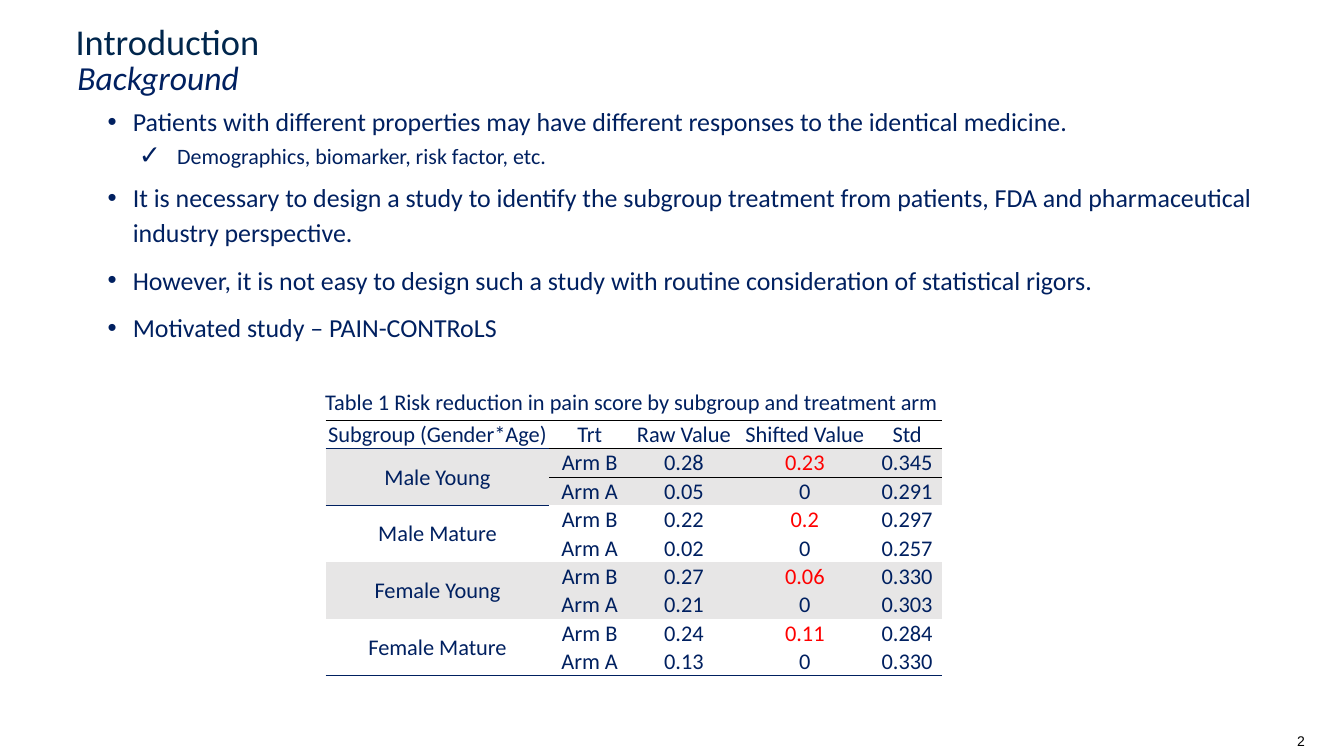
from pptx import Presentation
from pptx.dml.color import RGBColor
from pptx.enum.text import MSO_ANCHOR, MSO_AUTO_SIZE, PP_ALIGN
from pptx.oxml import parse_xml
from pptx.oxml.ns import nsdecls
from pptx.util import Pt

NAVY, BLACK, RED = "002060", "000000", "FF0000"
WHITE, GREY = "FFFFFF", "E7E6E6"
PLAIN = "{2D5ABB26-0587-4C30-8999-92F81FD0307C}"

POINTS = [
    ("Patients with different properties may have different responses to the identical medicine.", "•", 1.45),
    ("Demographics, biomarker, risk factor, etc.", "✓", 0.9),
    ("It is necessary to design a study to identify the subgroup treatment from patients, "
     "FDA and pharmaceutical industry perspective.", "•", 1.14),
    ("However, it is not easy to design such a study with routine consideration of statistical rigors.", "•", 1.25),
    ("Motivated study – PAIN-CONTRoLS", "•", 1.25),
]
MARKS = {"•": (18.5, 18, 18, 100), "✓": (15.7, 49.7, 27.4, 120)}

HEADS = ["Subgroup (Gender*Age)", "Trt", "Raw Value", "Shifted Value", "Std"]
WIDTHS = [159.8, 57.6, 77, 95.8, 50.4]
GROUPS = [
    ("Male Young", ("0.28", "0.23", "0.345"), ("0.05", "0", "0.291")),
    ("Male Mature", ("0.22", "0.2", "0.297"), ("0.02", "0", "0.257")),
    ("Female Young", ("0.27", "0.06", "0.330"), ("0.21", "0", "0.303")),
    ("Female Mature", ("0.24", "0.11", "0.284"), ("0.13", "0", "0.330")),
]


def color(code):
    return RGBColor.from_string(code)


def write(para, text, size, code=NAVY, font="Calibri", italic=False, align=PP_ALIGN.LEFT):
    para.alignment = align
    run = para.add_run()
    run.text = text
    run.font.name = font
    run.font.size = Pt(size)
    run.font.italic = italic
    run.font.color.rgb = color(code)


def place(shape, box, anchor):
    shape.left, shape.top, shape.width, shape.height = map(Pt, box)
    frame = shape.text_frame
    frame.word_wrap = True
    frame.auto_size = MSO_AUTO_SIZE.NONE
    frame.vertical_anchor = anchor
    return frame


def add_text(slide, box, anchor=MSO_ANCHOR.TOP):
    return place(slide.shapes.add_textbox(0, 0, 0, 0), box, anchor)


def add_points(slide, box):
    frame = add_text(slide, box)
    for i, (text, mark, space) in enumerate(POINTS):
        para = frame.paragraphs[0] if i == 0 else frame.add_paragraph()
        size, left, hang, scale = MARKS[mark]
        para.line_spacing = space
        para.space_before = para.space_after = Pt(3)
        write(para, text, size)
        props = para._p.get_or_add_pPr()
        props.set("marL", str(Pt(left)))
        props.set("indent", str(-Pt(hang)))
        for tag in (f'<a:buClr {nsdecls("a")}><a:srgbClr val="{NAVY}"/></a:buClr>',
                    f'<a:buSzPct {nsdecls("a")} val="{scale * 1000}"/>',
                    f'<a:buFont {nsdecls("a")} typeface="Arial"/>',
                    f'<a:buChar {nsdecls("a")} char="{mark}"/>'):
            props.append(parse_xml(tag))


def add_rule(cell, side, code):
    cell._tc.get_or_add_tcPr().insert(0, parse_xml(
        f'<a:{side} {nsdecls("a")} w="{Pt(0.5)}"><a:solidFill>'
        f'<a:srgbClr val="{code}"/></a:solidFill></a:{side}>'))


def fill_cell(cell, text, back, code=NAVY):
    cell.fill.solid()
    cell.fill.fore_color.rgb = color(back)
    cell.vertical_anchor = MSO_ANCHOR.MIDDLE
    cell.margin_left = cell.margin_right = cell.margin_top = Pt(0.7)
    cell.margin_bottom = 0
    if text:
        write(cell.text_frame.paragraphs[0], text, 16, code, align=PP_ALIGN.CENTER)


def add_scores(slide, left, top):
    count = 1 + 2 * len(GROUPS)
    frame = slide.shapes.add_table(count, len(HEADS), Pt(left), Pt(top),
                                   Pt(sum(WIDTHS)), Pt(20 * count))
    table = frame.table
    table.first_row = table.horz_banding = False
    table._tbl.tblPr.find("{*}tableStyleId").text = PLAIN
    for col, width in zip(table.columns, WIDTHS):
        col.width = Pt(width)
    for row in table.rows:
        row.height = Pt(20)

    for c, head in enumerate(HEADS):
        code = BLACK if c else NAVY
        fill_cell(table.cell(0, c), head, WHITE)
        add_rule(table.cell(0, c), "lnB", code)
        add_rule(table.cell(0, c), "lnT", BLACK)
        add_rule(table.cell(1, c), "lnT", code)
        add_rule(table.cell(count - 1, c), "lnB", NAVY)

    for g, (name, high, low) in enumerate(GROUPS):
        back = WHITE if g % 2 else GREY
        first = 1 + 2 * g
        rows = [(name, "Arm B", *high), ("", "Arm A", *low)]
        for r, row in enumerate(rows):
            for c, text in enumerate(row):
                code = RED if (r, c) == (0, 3) else NAVY
                fill_cell(table.cell(first + r, c), text, back, code)
        table.cell(first, 0).merge(table.cell(first + 1, 0))
    add_rule(table.cell(count - 2, 0), "lnB", NAVY)


def main():
    deck = Presentation()
    deck.slide_width, deck.slide_height = Pt(960), Pt(540)
    slide = deck.slides.add_slide(deck.slide_layouts[5])

    title = place(slide.shapes.title, (46.8, 15.1, 687.6, 28.8), MSO_ANCHOR.MIDDLE)
    write(title.paragraphs[0], "Introduction", 26, "00264C")
    topic = add_text(slide, (48.2, 45.4, 442, 18.7), MSO_ANCHOR.MIDDLE)
    write(topic.paragraphs[0], "Background", 24, italic=True)
    add_points(slide, (69.8, 61.9, 841.7, 198))
    label = add_text(slide, (222.5, 273.6, 460.8, 26.6))
    write(label.paragraphs[0], "Table 1 Risk reduction in pain score by subgroup and treatment arm ",
          16, align=PP_ALIGN.CENTER)
    add_scores(slide, 232.6, 300.2)
    number = add_text(slide, (902.2, 519.1, 54, 19.4), MSO_ANCHOR.BOTTOM)
    write(number.paragraphs[0], "2", 10, BLACK, "Arial", align=PP_ALIGN.CENTER)
    deck.save("out.pptx")


if __name__ == "__main__":
    main()
